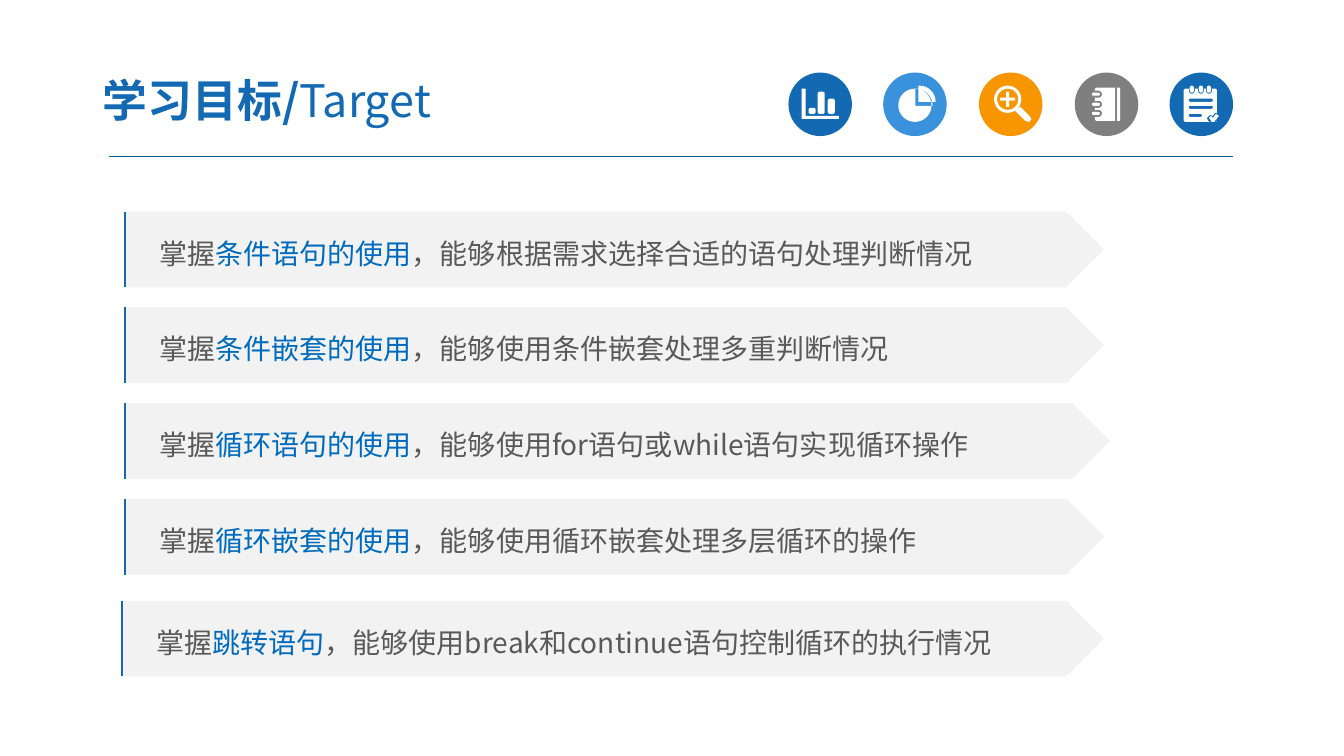
from math import cos, pi, sin

from lxml.etree import SubElement
from pptx import Presentation
from pptx.dml.color import RGBColor
from pptx.enum.shapes import MSO_CONNECTOR, MSO_SHAPE
from pptx.enum.text import MSO_ANCHOR, PP_ALIGN
from pptx.oxml.ns import qn
from pptx.util import Pt

PX = 9144  # 100 px to the inch
FONT = "Noto Sans CJK SC"
C = {"blue": "1369B2", "sky": "3992DB", "orange": "F79600", "grey": "7F7F7F",
     "white": "FFFFFF", "rule": "005B9E", "bar": "F2F2F2", "text": "595959",
     "key": "006BBC"}
C = {name: RGBColor.from_string(value) for name, value in C.items()}


def rounded(x, y, w, h, tl=0, tr=0, br=0, bl=0):
    """Points of a box whose four corners have their own radii."""
    corners = [(x + tl, y + tl, tl), (x + w - tr, y + tr, tr),
               (x + w - br, y + h - br, br), (x + bl, y + h - bl, bl)]
    points = []
    for i, (cx, cy, radius) in enumerate(corners):
        for step in range(9 if radius else 1):
            angle = pi + (i + step / 8) * pi / 2
            points.append((cx + radius * cos(angle), cy + radius * sin(angle)))
    return points


def add_run(p, text, size, color, bold=False):
    r = p.add_run()
    r.text = text
    r.font.size = Pt(size)
    r.font.name = FONT
    r.font.bold = bold
    r.font.color.rgb = color
    SubElement(r.font._element, qn("a:ea")).set("typeface", FONT)


prs = Presentation()
prs.slide_width, prs.slide_height = 1333 * PX, 750 * PX
s = prs.slides.add_slide(prs.slide_layouts[6])

# Icon outlines: an outline lying inside another one cuts a hole in it
chart = [[(795, 88), (799, 88), (799, 115), (832, 115), (832, 118), (795, 118)]]
for x, top in [(802, 107), (811, 91), (821, 98)]:
    chart.append(rounded(x, top, 7, 113 - top, 2, 2, 2, 2))

pie = [rounded(891, 88, 33, 33, 16.5, 16.5, 16.5, 16.5),
       rounded(908, 88, 17, 17, tr=16.5),
       rounded(911, 85, 17, 16, tr=16)]

magnifier = [rounded(986, 85, 27, 27, 13.5, 13.5, 13.5, 13.5),
             rounded(989, 88, 21, 21, 10.5, 10.5, 10.5, 10.5),
             [(998, 91), (1001, 91), (1001, 97), (1007, 97), (1007, 100), (1001, 100),
              (1001, 106), (998, 106), (998, 100), (992, 100), (992, 97), (998, 97)],
             [(1007, 110), (1012, 106), (1021, 115), (1023, 118), (1021, 121),
              (1017, 120)]]

notebook = [rounded(1108, 87, 3, 33, tr=1, br=1),
            rounded(1086, 87, 20, 33, tl=2, bl=2)]
for y in (90, 100, 109):
    notebook.append(rounded(1086, y, 7, 7, tr=3.5, br=3.5))
    notebook.append(rounded(1083, y + 2, 8, 3, 1.5, 1.5, 1.5, 1.5))

notepad = [rounded(1174, 88, 33, 33, tl=2, tr=2, bl=2),
           [(1207, 112), (1205, 112), (1203, 115), (1200, 114), (1197, 117),
            (1198, 120), (1200, 121), (1207, 121)],
           [(1199, 117), (1201, 115), (1203, 117), (1206, 113), (1209, 115),
            (1204, 121), (1202, 121)]]
for x in (1180, 1189, 1197):
    notepad.append(rounded(x - 1, 88, 6, 5, br=3, bl=3))
    notepad.append(rounded(x, 85, 4, 7, 2, 2, 2, 2))
for y, w in [(98, 24), (105, 24), (113, 13)]:
    notepad.append(rounded(1179, y, w, 3, 1.5, 1.5, 1.5, 1.5))

icons = [("blue", chart), ("sky", pie), ("orange", magnifier),
         ("grey", notebook), ("blue", notepad)]
for i, (color, outlines) in enumerate(icons):
    disc = s.shapes.add_shape(MSO_SHAPE.OVAL, round(782 + 94.5 * i) * PX, 72 * PX,
                              63 * PX, 63 * PX)
    builder = None
    for outline in outlines:
        points = [(x * PX, y * PX) for x, y in outline]
        if builder is None:
            builder = s.shapes.build_freeform(*points[0])
        else:
            builder.move_to(*points[0])
        builder.add_line_segments(points[1:], close=True)
    for sp, fill in [(disc, color), (builder.convert_to_shape(), "white")]:
        sp.shadow.inherit = False
        sp.fill.solid()
        sp.fill.fore_color.rgb = C[fill]
        sp.line.fill.background()

# Title
title = s.shapes.add_textbox(89 * PX, 63 * PX, 522 * PX, 72 * PX)
tf = title.text_frame
tf.word_wrap = True
tf.vertical_anchor = MSO_ANCHOR.MIDDLE
tf.margin_left = tf.margin_right = 13 * PX
tf.margin_top = tf.margin_bottom = 7 * PX
p = tf.paragraphs[0]
add_run(p, "学习目标/", 32, C["blue"], bold=True)
add_run(p, "Target", 32, C["blue"])

# Targets: left, top, width, key phrase, rest of the sentence
targets = [
    (123, 210, 972, "条件语句的使用", "，能够根据需求选择合适的语句处理判断情况"),
    (123, 305, 972, "条件嵌套的使用", "，能够使用条件嵌套处理多重判断情况"),
    (123, 400, 978, "循环语句的使用", "，能够使用for语句或while语句实现循环操作"),
    (123, 495, 972, "循环嵌套的使用", "，能够使用循环嵌套处理多层循环的操作"),
    (120, 596, 975, "跳转语句", "，能够使用break和continue语句控制循环的执行情况"),
]
lines = [(108, 155, 1223, 155, "rule", 0.75)]
for left, top, width, key, rest in targets:
    sp = s.shapes.add_shape(MSO_SHAPE.PENTAGON, left * PX, top * PX, width * PX, 75 * PX)
    sp.shadow.inherit = False
    sp.fill.solid()
    sp.fill.fore_color.rgb = C["bar"]
    sp.line.fill.background()
    tf = sp.text_frame
    tf.word_wrap = True
    tf.vertical_anchor = MSO_ANCHOR.MIDDLE
    tf.margin_left = 35 * PX
    p = tf.paragraphs[0]
    p.alignment = PP_ALIGN.LEFT
    p.line_spacing = 1.2
    for text, color in [("掌握", "text"), (key, "key"), (rest, "text")]:
        add_run(p, text, 20, C[color])
    lines.append((left + 1, top + 75, left + 1, top, "blue", 1.5))

# Title rule and the left edge of each target
for x1, y1, x2, y2, color, weight in lines:
    line = s.shapes.add_connector(MSO_CONNECTOR.STRAIGHT, x1 * PX, y1 * PX,
                                  x2 * PX, y2 * PX)
    line.line.color.rgb = C[color]
    line.line.width = Pt(weight)
    SubElement(line._element.spPr, qn("a:effectLst"))

prs.save("out.pptx")
